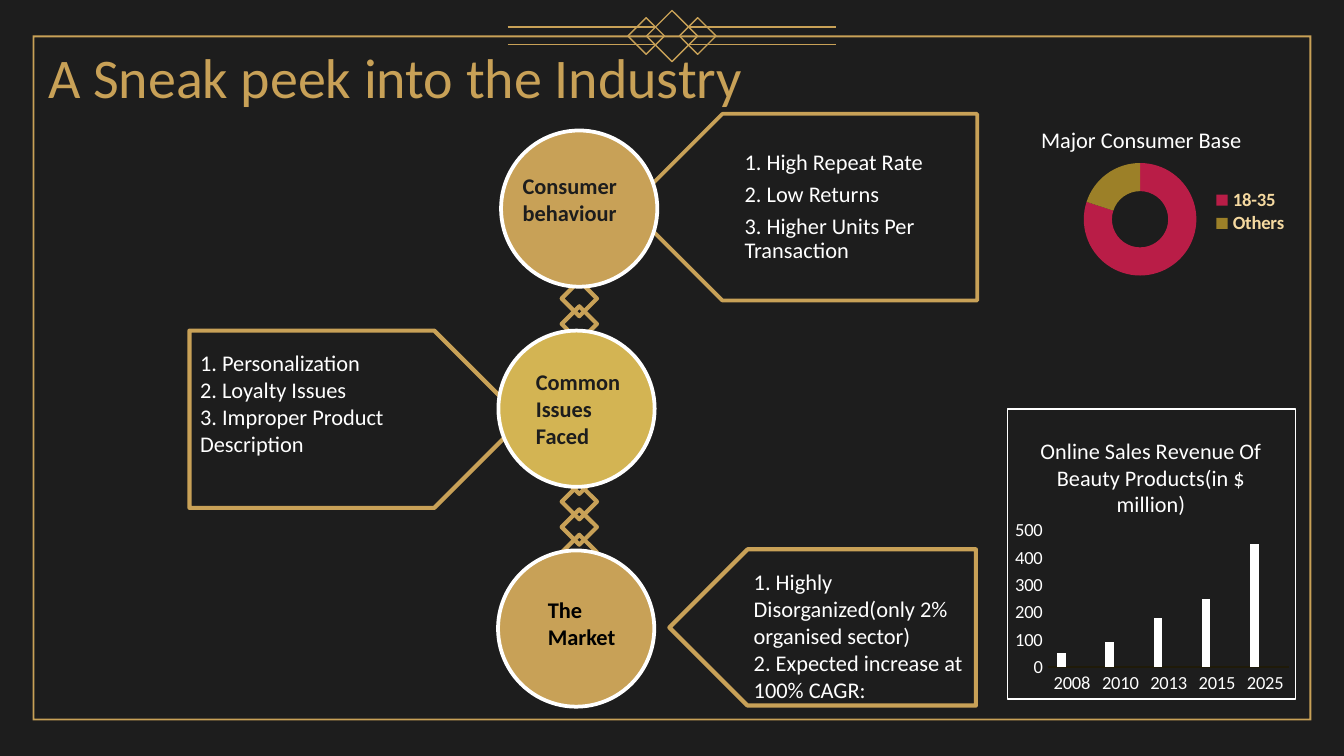
"""Build the slide 'A Sneak peek into the Industry'."""
import pptx
import pptx.chart.data
import pptx.dml.color
import pptx.enum.chart
import pptx.enum.shapes
import pptx.enum.text
import pptx.oxml
import pptx.oxml.ns
import pptx.util

Pt = pptx.util.Pt
RGBColor = pptx.dml.color.RGBColor
SHAPE = pptx.enum.shapes.MSO_SHAPE
CHART = pptx.enum.chart.XL_CHART_TYPE
qn = pptx.oxml.ns.qn

DARK = RGBColor(0x1D, 0x1D, 0x1D)
GOLD = RGBColor(0xC8, 0xA1, 0x57)
YELLOW = RGBColor(0xD3, 0xB4, 0x53)
CREAM = RGBColor(0xF5, 0xD9, 0xA0)
SAND = RGBColor(0xE7, 0xD6, 0xA1)
OCHRE = RGBColor(0xD6, 0xB0, 0x37)
OLIVE = RGBColor(0x9C, 0x80, 0x28)
CRIMSON = RGBColor(0xB9, 0x1D, 0x47)
AXIS = RGBColor(0x1F, 0x1A, 0x08)
WHITE = RGBColor(0xFF, 0xFF, 0xFF)
BLACK = RGBColor(0, 0, 0)

prs = pptx.Presentation()
prs.slide_width, prs.slide_height = Pt(720), Pt(405)
s = prs.slides.add_slide(prs.slide_layouts[6])
s.background.fill.solid()
s.background.fill.fore_color.rgb = DARK


def add_outline(kind, x, y, w, h, line, width, fill=None):
    sp = s.shapes.add_shape(kind, Pt(x), Pt(y), Pt(w), Pt(h))
    sp.shadow.inherit = False
    sp.line.color.rgb = line
    sp.line.width = Pt(width)
    if fill is None:
        sp.fill.background()
    else:
        sp.fill.solid()
        sp.fill.fore_color.rgb = fill
    return sp


def add_text(x, y, w, h, lines, color, size=12, bold=False):
    tf = s.shapes.add_textbox(Pt(x), Pt(y), Pt(w), Pt(h)).text_frame
    tf.word_wrap = True
    for i, line in enumerate(lines):
        p = tf.paragraphs[0] if i == 0 else tf.add_paragraph()
        r = p.add_run()
        r.text = line
        r.font.name = "Calibri"
        r.font.size = Pt(size)
        r.font.bold = bold
        r.font.color.rgb = color
    return tf


fb = s.shapes.build_freeform(Pt(701.5), Pt(20))
fb.add_line_segments([(Pt(701.5), Pt(385)), (Pt(18.5), Pt(385)), (Pt(18.5), Pt(20))])
fb.move_to(Pt(17.5), Pt(19))
fb.add_line_segments([(Pt(17.5), Pt(386)), (Pt(702.5), Pt(386)), (Pt(702.5), Pt(19))])
sp = fb.convert_to_shape()
sp.shadow.inherit = False
sp.fill.solid()
sp.fill.fore_color.rgb = GOLD
sp.line.fill.background()

for cx, size in ((360, 27.4), (346.2, 19.6), (373.8, 19.6)):
    add_outline(SHAPE.DIAMOND, cx - size / 2, 19.3 - size / 2, size, size, GOLD, 0.75)

for x in (272, 368.8):
    for y in (14.4, 23.9):
        sp = s.shapes.add_connector(
            pptx.enum.shapes.MSO_CONNECTOR.STRAIGHT, Pt(x), Pt(y), Pt(x + 79.2), Pt(y))
        sp.line.color.rgb = GOLD
        sp.line.width = Pt(0.75)
        pptx.oxml.ns  # namespace map used by qn
        sp._element.spPr.append(pptx.oxml.parse_xml(
            '<a:effectLst xmlns:a="http://schemas.openxmlformats.org/drawingml/2006/main"/>'))

for i in range(14):
    add_outline(SHAPE.DIAMOND, 300.9, 150.5 + 13.6 * i, 18.9, 18.9, GOLD, 2.25)

for x, y, w, h, rotation, width in (
        (337, 61, 186.5, 100, 180, 2),
        (101.5, 177.1, 178.6, 95, 0, 2.25),
        (358.6, 294.3, 164.2, 83.7, 180, 2.25)):
    sp = add_outline(SHAPE.PENTAGON, x, y, w, h, GOLD, width)
    sp.rotation = rotation

for x, y, fill in ((268.4, 69.9, GOLD), (267, 177.1, YELLOW), (266.8, 294.9, GOLD)):
    add_outline(SHAPE.OVAL, x, y, 83.7, 83.7, WHITE, 2, fill)

tf = add_text(362.2, 61, 161.3, 100, [
    "1. High Repeat Rate", "2. Low Returns", "3. Higher Units Per Transaction"], WHITE)
tf.margin_left = Pt(36.7)
tf.margin_right = Pt(6.5)
tf.vertical_anchor = pptx.enum.text.MSO_ANCHOR.MIDDLE
for p in tf.paragraphs:
    p.line_spacing = 0.9
    p.space_after = Pt(4.2)

add_text(18.7, 19.4, 432.7, 44, ["A Sneak peek into the Industry"], GOLD, 30)
add_text(272.9, 88.6, 87, 36, ["Consumer", "behaviour"], DARK, bold=True)
add_text(280, 193.7, 72.7, 51, ["Common Issues Faced"], DARK, bold=True)
add_text(286.4, 316, 60.5, 36, ["The Market"], BLACK, bold=True)
add_text(100.1, 183.6, 150.5, 85, [
    "1. Personalization", "2. Loyalty Issues", "3. Improper Product Description"], WHITE)
add_text(396.7, 301, 139, 94.3, [
    "1. Highly Disorganized(only 2% organised sector)",
    "2. Expected increase at 100% CAGR:"], WHITE)

data = pptx.chart.data.CategoryChartData()
data.categories = ["18-35", "Others"]
data.add_series("Series 1", [80, 20])
doughnut = s.shapes.add_chart(
    CHART.DOUGHNUT, Pt(450), Pt(43.2), Pt(251.3), Pt(163.4), data).chart

data = pptx.chart.data.CategoryChartData()
data.categories = ["2008", "2010", "2013", "2015", "2025"]
data.add_series("Series 1", [50, 90, 180, 250, 450])
data.add_series("Series 2", [None] * 5)
data.add_series("Series 3", [None] * 5)
column = s.shapes.add_chart(
    CHART.COLUMN_CLUSTERED, Pt(539.5), Pt(218.7), Pt(154.8), Pt(156.2), data).chart

for i, color in enumerate((CRIMSON, OLIVE)):
    fmt = doughnut.plots[0].series[0].points[i].format
    fmt.fill.solid()
    fmt.fill.fore_color.rgb = color
    fmt.line.fill.background()
doughnut.has_legend = True
doughnut.legend.position = pptx.enum.chart.XL_LEGEND_POSITION.RIGHT
doughnut.legend.include_in_layout = False
doughnut.legend.font.name = "Calibri"
doughnut.legend.font.size = Pt(10)
doughnut.legend.font.bold = True
doughnut.legend.font.color.rgb = CREAM

column.has_legend = False
plot = column.plots[0]
plot.vary_by_categories = False
plot.gap_width, plot.overlap = 219, -27
for series, color in zip(plot.series, (WHITE, OCHRE, SAND)):
    series.format.fill.solid()
    series.format.fill.fore_color.rgb = color
for axis in (column.category_axis, column.value_axis):
    axis.has_major_gridlines = False
    axis.major_tick_mark = pptx.enum.chart.XL_TICK_MARK.NONE
    axis.tick_labels.font.name = "Calibri"
    axis.tick_labels.font.size = Pt(10)
    axis.tick_labels.font.color.rgb = WHITE
column.category_axis.format.line.color.rgb = AXIS
column.category_axis.format.line.width = Pt(0.75)
column.value_axis.format.line.fill.background()
column.value_axis.minimum_scale, column.value_axis.maximum_scale = 0, 500
column.value_axis.major_unit = 100

NS = ('xmlns:c="http://schemas.openxmlformats.org/drawingml/2006/chart" '
      'xmlns:a="http://schemas.openxmlformats.org/drawingml/2006/main"')
BORDER = '<a:ln w="9525"><a:solidFill><a:srgbClr val="FFFFFF"/></a:solidFill></a:ln>'
for chart, title, border, layouts in (
        (doughnut, "Major Consumer Base", "<a:ln><a:noFill/></a:ln>", {
            "title": (1, {"x": 0.42, "y": 0.13}),
            "plotArea": (0, {"x": 0.52, "y": 0.27, "w": 0.24, "h": 0.37}),
            "legend": (1, {"x": 0.79, "y": 0.35, "w": 0.17, "h": 0.16})}),
        (column, "Online Sales Revenue Of Beauty Products(in $ million)", BORDER, {
            "title": (1, {"x": 0.1, "y": 0.08}),
            "plotArea": (0, {"x": 0.14, "y": 0.42, "w": 0.84, "h": 0.47})})):
    chart.font.name = "Arial"
    chart.font.size = Pt(10)
    chart.font.color.rgb = DARK
    chart.has_title = True
    r = chart.chart_title.text_frame.paragraphs[0].add_run()
    r.text = title
    r.font.name = "Calibri"
    r.font.size = Pt(12)
    r.font.bold = False
    r.font.color.rgb = WHITE
    root = chart._chartSpace.find(qn("c:chart"))
    root.addnext(pptx.oxml.parse_xml(f"<c:spPr {NS}><a:noFill/>{border}</c:spPr>"))
    for tag, (index, box) in layouts.items():
        part = root.find(qn(f"c:{tag}"))
        for old in part.findall(qn("c:layout")):
            part.remove(old)
        target = '<c:layoutTarget val="inner"/>' if tag == "plotArea" else ""
        modes = "".join(f'<c:{k}Mode val="edge"/>' for k in "xy")
        values = "".join(f'<c:{k} val="{v}"/>' for k, v in box.items())
        part.insert(index, pptx.oxml.parse_xml(
            f"<c:layout {NS}><c:manualLayout>{target}{modes}{values}</c:manualLayout></c:layout>"))

prs.save("out.pptx")
